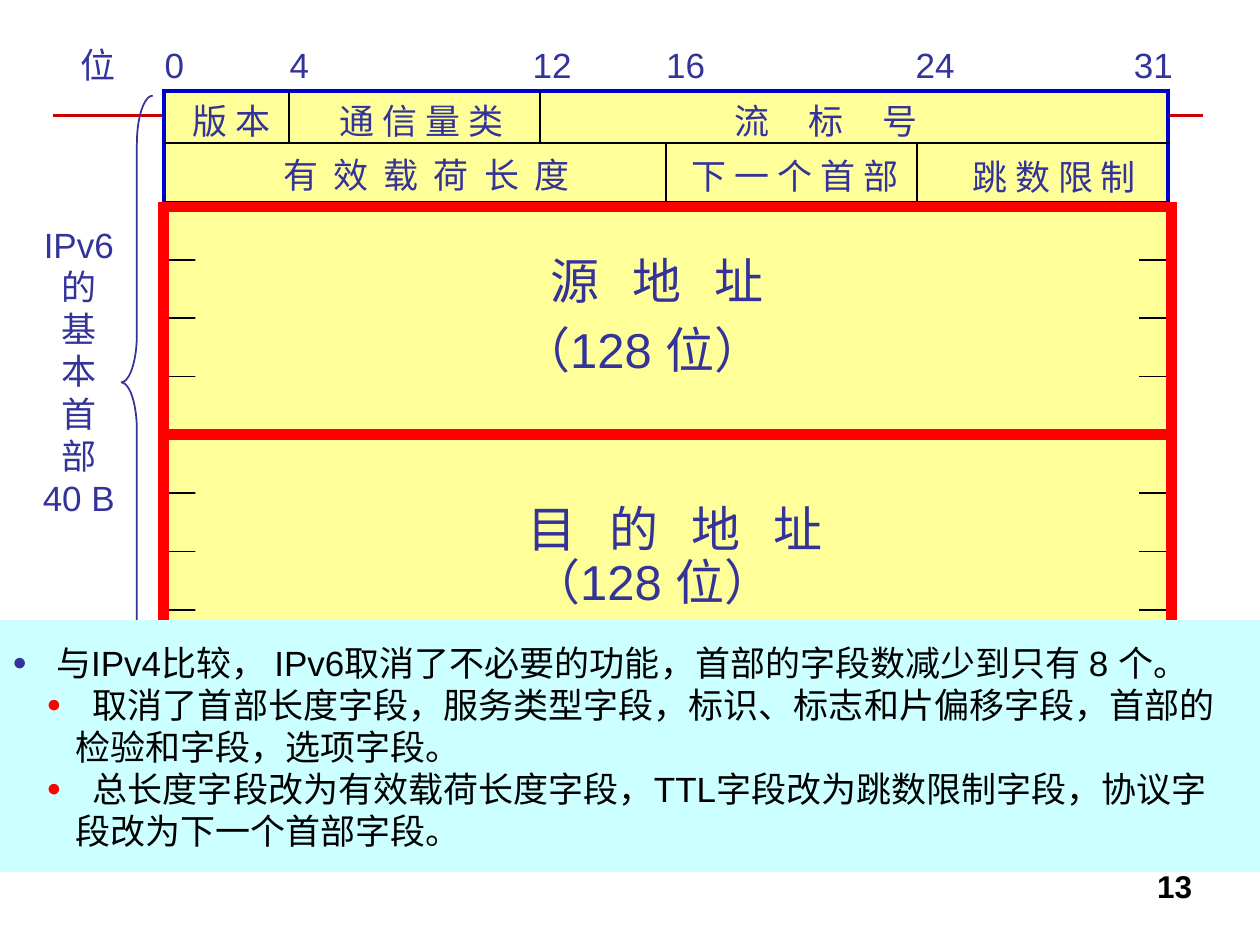
from dataclasses import dataclass
from typing import Optional

import pptx
import pptx.dml.color
import pptx.enum.shapes
import pptx.enum.text
import pptx.oxml.ns
import pptx.util
from lxml import etree

Cm = pptx.util.Cm
Pt = pptx.util.Pt
RGBColor = pptx.dml.color.RGBColor
Preset = pptx.enum.shapes.MSO_SHAPE
Align = pptx.enum.text.PP_ALIGN
AutoSize = pptx.enum.text.MSO_AUTO_SIZE
qn = pptx.oxml.ns.qn

INDIGO = RGBColor(0x33, 0x33, 0x99)
BLUE = RGBColor(0x00, 0x00, 0xCC)
YELLOW = RGBColor(0xFF, 0xFF, 0x99)
CYAN = RGBColor(0xCC, 0xFF, 0xFF)
RED = RGBColor(0xFF, 0x00, 0x00)
DARK_RED = RGBColor(0xCC, 0x00, 0x00)
BLACK = RGBColor(0x00, 0x00, 0x00)

# Header grid: 32 bits wide, rows of 32 bits each
LEFT, TOP, WIDTH, HEIGHT = 3.3, 1.83, 20.24, 11.68
BIT_WIDTH = WIDTH / 32
FIRST_ROW, ROW_HEIGHT, ROW_COUNT = 2.89, 1.175, 9

BODY = {"name": "Arial", "size": Pt(20)}


@dataclass
class Label:
    text: str
    left: float
    top: float
    width: float
    height: float = 1.09
    size: int = 20
    spacing: float = 0
    align: Optional[int] = None


@dataclass
class Box:
    left: float
    top: float
    width: float
    height: float
    fill: Optional[RGBColor] = None
    line: Optional[RGBColor] = None
    weight: float = 1
    preset: int = Preset.RECTANGLE


@dataclass
class Bullet:
    text: str
    color: RGBColor
    margin: float
    indent: float
    level: int = 0
    lead: float = 0


LABELS = [
    Label("位", 1.37, 0.76, 1.22),
    Label("0", 3.07, 0.76, 0.89),
    Label("4", 5.59, 0.76, 0.89),
    Label("12", 10.49, 0.76, 1.3),
    Label("16", 13.18, 0.76, 1.3),
    Label("24", 18.21, 0.76, 1.3),
    Label("31", 22.61, 0.76, 1.3),
    Label("版 本", 3.63, 1.88, 2.08),
    Label("通 信 量 类", 6.6, 1.88, 3.81),
    Label("流 标 号", 14.55, 1.88, 5.5, spacing=8.9),
    Label("有 效 载 荷 长 度", 5.46, 2.97, 7.5, spacing=2.1),
    Label("下 一 个 首 部", 13.69, 3, 4.67),
    Label("跳 数 限 制", 19.35, 3.02, 3.81),
    Label("源 地 址", 10.85, 4.93, 6, 1.42, 28, 6.3),
    Label("（128 位）", 10.26, 6.32, 5.87, 1.42, 28),
    Label("目 的 地 址", 10.39, 9.93, 8, 1.42, 28, 6.3),
    Label("（128 位）", 10.46, 11, 5.87, 1.42, 28),
    Label("IPv6\n的\n基\n本\n首\n部\n40 B", 0.61, 4.39, 1.96, 7.01,
          align=Align.CENTER),
]

BULLETS = [
    Bullet("与IPv4比较， IPv6取消了不必要的功能，首部的字段数减少到只有 8 个。",
           INDIGO, 0.88, -0.88),
    Bullet("取消了首部长度字段，服务类型字段，标识、标志和片偏移字段，"
           "首部的检验和字段，选项字段。", RED, 1.27, -0.58, 1, 5.5),
    Bullet("总长度字段改为有效载荷长度字段，TTL字段改为跳数限制字段，"
           "协议字段改为下一个首部字段。", RED, 1.27, -0.58, 1, 5.5),
]


def set_font(font, color: RGBColor, formats: dict) -> None:
    for name, value in formats.items():
        setattr(font, name, value)
    font.color.rgb = color


def set_spacing(run, points: float) -> None:
    if points:
        run._r.get_or_add_rPr().set("spc", str(round(points * 100)))


def add_line(slide, x1: float, y1: float, x2: float, y2: float,
             color: RGBColor = BLACK, weight: float = 1) -> None:
    line = slide.shapes.add_connector(
        pptx.enum.shapes.MSO_CONNECTOR.STRAIGHT, Cm(x1), Cm(y1), Cm(x2), Cm(y2))
    line.line.color.rgb = color
    line.line.width = Pt(weight)
    etree.SubElement(line._element.spPr, qn("a:effectLst"))


def add_box(slide, box: Box):
    shape = slide.shapes.add_shape(
        box.preset, Cm(box.left), Cm(box.top), Cm(box.width), Cm(box.height))
    shape.shadow.inherit = False
    if box.fill is None:
        shape.fill.background()
    else:
        shape.fill.solid()
        shape.fill.fore_color.rgb = box.fill
    if box.line is None:
        shape.line.fill.background()
    else:
        shape.line.color.rgb = box.line
        shape.line.width = Pt(box.weight)
        outline = shape._element.spPr.find(qn("a:ln"))
        etree.SubElement(outline, qn("a:miter")).set("lim", "800000")
    return shape


def add_label(slide, label: Label) -> None:
    shape = slide.shapes.add_textbox(Cm(label.left), Cm(label.top),
                                     Cm(label.width), Cm(label.height))
    frame = shape.text_frame
    # Letter-spaced labels keep a fixed, roomy box; the others fit their text
    spaced = label.spacing > 0
    frame.word_wrap = spaced
    frame.auto_size = AutoSize.NONE if spaced else AutoSize.SHAPE_TO_FIT_TEXT
    frame.text = label.text
    for paragraph in frame.paragraphs:
        paragraph.alignment = label.align
        for run in paragraph.runs:
            set_font(run.font, INDIGO, {"name": "Arial", "size": Pt(label.size)})
            set_spacing(run, label.spacing)


def add_bullet(paragraph, bullet: Bullet) -> None:
    paragraph.level = bullet.level
    paragraph.alignment = Align.LEFT
    properties = paragraph._p.get_or_add_pPr()
    properties.set("marL", str(Cm(bullet.margin)))
    properties.set("indent", str(Cm(bullet.indent)))
    if bullet.lead:
        properties.set("marR", str(Cm(0.13)))
    color = etree.SubElement(properties, qn("a:buClr"))
    etree.SubElement(color, qn("a:srgbClr")).set("val", str(bullet.color))
    etree.SubElement(properties, qn("a:buSzPct")).set("val", "70000")
    etree.SubElement(properties, qn("a:buFont")).set("typeface", "Arial")
    etree.SubElement(properties, qn("a:buChar")).set("char", "●")
    if bullet.lead:  # first line starts a little right of the wrapped lines
        lead = paragraph.add_run()
        lead.text = " "
        set_font(lead.font, BLACK, BODY)
        set_spacing(lead, bullet.lead)
    run = paragraph.add_run()
    run.text = bullet.text
    set_font(run.font, BLACK, BODY)


def main() -> None:
    presentation = pptx.Presentation()
    presentation.slide_width, presentation.slide_height = Cm(25.4), Cm(19.05)
    slide = presentation.slides.add_slide(presentation.slide_layouts[6])

    # Title rule and header frame
    add_line(slide, 1.07, 2.33, 24.26, 2.33, DARK_RED, 2)
    add_box(slide, Box(LEFT, TOP, WIDTH, HEIGHT, YELLOW, BLUE, 2.25))

    # Row and field dividers
    for row in range(ROW_COUNT):
        y = FIRST_ROW + row * ROW_HEIGHT
        add_line(slide, LEFT, y, LEFT + WIDTH + 0.05, y)
    for bit, row in [(4, 0), (12, 0), (16, 1), (24, 1)]:
        x = LEFT + bit * BIT_WIDTH
        bottom = FIRST_ROW + row * ROW_HEIGHT
        add_line(slide, x, TOP if row == 0 else FIRST_ROW, x, bottom)

    # Address areas leave only short row ticks at both sides
    for top in (4.85, 9.55):
        add_box(slide, Box(3.94, top, 19.02, 3.13, YELLOW))

    for label in LABELS:
        add_label(slide, label)

    # Brace and address outlines
    brace = add_box(slide, Box(2.44, 1.93, 0.64, 11.56, None, INDIGO, 1,
                               Preset.LEFT_BRACE))
    brace.adjustments[0] = 1.52
    for top, height in [(4.17, 4.59), (8.76, 4.75)]:
        add_box(slide, Box(LEFT, top, 20.32, height, None, RED, 6))

    # Comparison panel
    panel = add_box(slide, Box(0, 12.5, 25.4, 5.08, CYAN))
    frame = panel.text_frame
    frame.word_wrap = True
    frame.vertical_anchor = pptx.enum.text.MSO_ANCHOR.MIDDLE
    for index, bullet in enumerate(BULLETS):
        add_bullet(frame.add_paragraph() if index else frame.paragraphs[0], bullet)

    # Page number
    number = slide.shapes.add_textbox(Cm(18.36), Cm(17.35), Cm(5.92), Cm(1.32))
    number.text_frame.word_wrap = True
    paragraph = number.text_frame.paragraphs[0]
    paragraph.alignment = Align.RIGHT
    run = paragraph.add_run()
    run.text = "13"
    set_font(run.font, BLACK, {"name": "Arial", "size": Pt(18), "bold": True})

    presentation.save("out.pptx")


if __name__ == "__main__":
    main()
